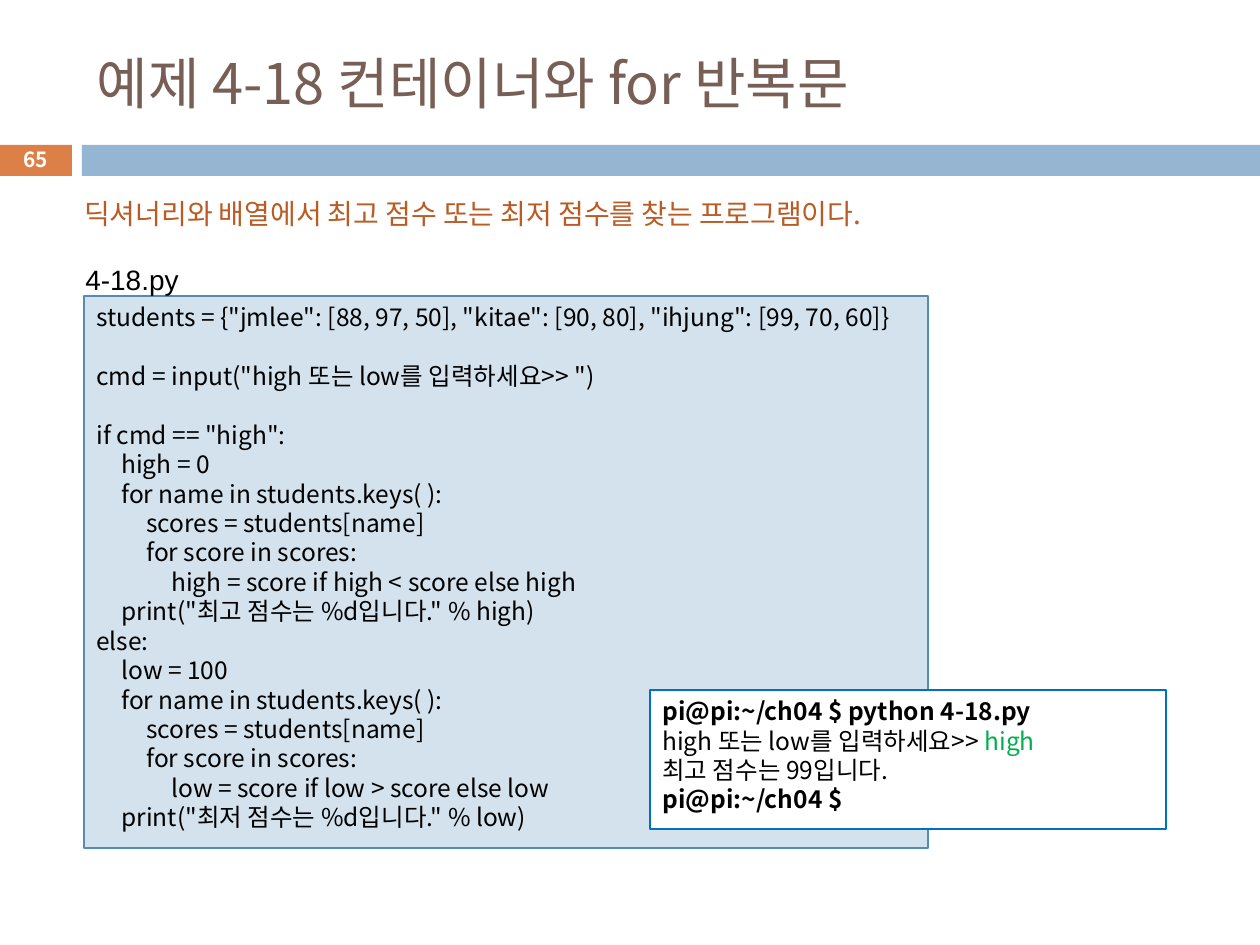
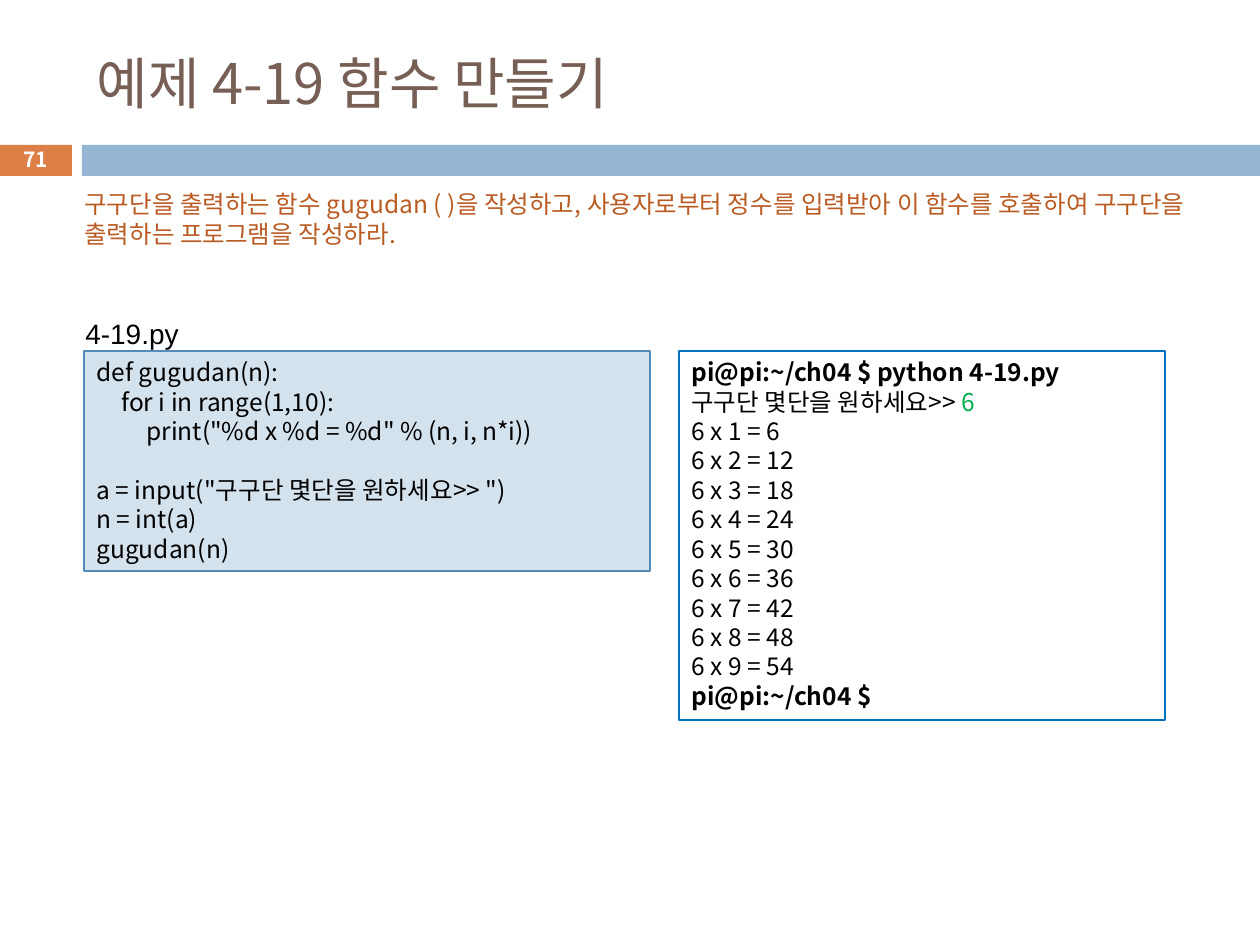
from dataclasses import dataclass
from pptx import Presentation
from pptx.dml.color import RGBColor
from pptx.enum.shapes import MSO_SHAPE
from pptx.enum.text import MSO_ANCHOR, MSO_AUTO_SIZE, PP_ALIGN
from pptx.oxml.ns import qn
from pptx.util import Emu, Pt
from lxml.etree import SubElement


@dataclass(frozen=True)
class Theme:
    face: str = "Noto Sans CJK KR"
    label: str = "Arial"
    title: str = "775F55"
    badge: str = "DD8047"
    band: str = "94B6D2"
    intro: str = "B95B22"
    code: str = "D4E2ED"
    edge: str = "558BB8"
    frame: str = "0070C0"
    reply: str = "00B050"
    ink: str = "000000"
    paper: str = "FFFFFF"
    big: float = 32
    mid: float = 16
    text: float = 14
    small: float = 11.9
    pitch: float = 16.8
    tab: int = 25


THEME = Theme()
SCALE = 914400 / 126

SCORES = '''students = {"jmlee": [88, 97, 50], "kitae": [90, 80], "ihjung": [99, 70, 60]}

cmd = input("high 또는 low를 입력하세요>> ")

if cmd == "high":
    high = 0
    for name in students.keys( ):
        scores = students[name]
        for score in scores:
            high = score if high < score else high
    print("최고 점수는 %d입니다." % high)
else:
    low = 100
    for name in students.keys( ):
        scores = students[name]
        for score in scores:
            low = score if low > score else low
    print("최저 점수는 %d입니다." % low)'''

TIMES = '''def gugudan(n):
    for i in range(1,10):
        print("%d x %d = %d" % (n, i, n*i))

a = input("구구단 몇단을 원하세요>> ")
n = int(a)
gugudan(n)'''


def px(n):
    return Emu(round(n * SCALE))


def rgb(code):
    return RGBColor.from_string(code)


def style(run, size, color, face=THEME.face, bold=False):
    run.font.size = Pt(size)
    run.font.bold = bold
    run.font.color.rgb = rgb(color)
    run.font.name = face
    SubElement(run.font._element, qn("a:ea"), typeface=face)


def style_all(frame, size, color, face=THEME.face, bold=False):
    for par in frame.paragraphs:
        for run in par.runs:
            style(run, size, color, face, bold)


def add_rect(slide, area, fill, line=None):
    box = slide.shapes.add_shape(MSO_SHAPE.RECTANGLE, *map(px, area))
    box.shadow.inherit = False
    box.fill.solid()
    box.fill.fore_color.rgb = rgb(fill)
    if line:
        box.line.color.rgb = rgb(line)
        box.line.width = Pt(0.75)
    else:
        box.line.fill.background()
    return box


def add_text(slide, area, text, size, color, face=THEME.face, bold=False):
    frame = slide.shapes.add_textbox(*map(px, area)).text_frame
    frame.word_wrap = True
    frame.text = text
    style_all(frame, size, color, face, bold)
    return frame


def add_panel(slide, area, text, fill, line):
    frame = add_rect(slide, area, fill, line).text_frame
    frame.word_wrap = True
    frame.vertical_anchor = MSO_ANCHOR.TOP
    frame.text = text
    for par in frame.paragraphs:
        par.alignment = PP_ALIGN.LEFT
        par.line_spacing = Pt(THEME.pitch)
    style_all(frame, THEME.text, THEME.ink)
    return frame


def add_code(slide, area, code):
    frame = add_panel(slide, area, code.replace(" " * 4, "\t"), THEME.code, THEME.edge)
    for par in frame.paragraphs:
        tabs = SubElement(par._p.get_or_add_pPr(), qn("a:tabLst"))
        for step in range(1, 4):
            SubElement(tabs, qn("a:tab"), pos=str(px(step * THEME.tab)), algn="l")


def add_shell(slide, area, lines, reply):
    frame = add_panel(slide, area, "\n".join(lines), THEME.paper, THEME.frame)
    for par in frame.paragraphs:
        if par.text.startswith("pi@"):
            par.runs[0].font.bold = True
        elif par.text.endswith(">> "):
            run = par.add_run()
            run.text = reply
            style(run, THEME.text, THEME.reply)


def add_label(slide, top, text):
    frame = add_text(slide, (73, top, 121, 59), text, THEME.mid, THEME.ink, THEME.label)
    frame.word_wrap = False
    frame.paragraphs[0].alignment = PP_ALIGN.JUSTIFY
    frame.paragraphs[0].line_spacing = 1.6


def add_page(deck, title, number):
    slide = deck.slides.add_slide(deck.slide_layouts[5])
    add_rect(slide, (-1, 145, 73, 31), THEME.badge)
    add_rect(slide, (82, 145, 1178, 31), THEME.band)
    head = slide.shapes.title
    head.left, head.top, head.width, head.height = map(px, (84, 31, 1124, 103))
    frame = head.text_frame
    frame.text = title
    frame.auto_size = MSO_AUTO_SIZE.NONE
    frame.vertical_anchor = MSO_ANCHOR.MIDDLE
    frame.paragraphs[0].alignment = PP_ALIGN.LEFT
    style_all(frame, THEME.big, THEME.title)
    badge = add_text(slide, (-1, 142, 73, 34), number, THEME.small, THEME.paper, bold=True)
    badge.margin_top = badge.margin_bottom = 0
    badge.vertical_anchor = MSO_ANCHOR.MIDDLE
    badge.paragraphs[0].alignment = PP_ALIGN.CENTER
    return slide


def add_intro(slide, area, text, size):
    frame = add_text(slide, area, text, size, THEME.intro)
    frame.paragraphs[0].line_spacing = Pt(size * 1.2)


def main():
    deck = Presentation()
    deck.slide_width, deck.slide_height = px(1260), px(945)

    slide = add_page(deck, "예제 4-18 컨테이너와 for 반복문", "65")
    add_intro(slide, (72, 190, 1072, 47),
              "딕셔너리와 배열에서 최고 점수 또는 최저 점수를 찾는 프로그램이다.", THEME.mid)
    add_code(slide, (84, 296, 844, 552), SCORES)
    add_shell(slide, (650, 690, 516, 139), [
        "pi@pi:~/ch04 $ python 4-18.py",
        "high 또는 low를 입력하세요>> ",
        "최고 점수는 99입니다.",
        "pi@pi:~/ch04 $",
    ], "high")
    add_label(slide, 236, "4-18.py")

    slide = add_page(deck, "예제 4-19 함수 만들기", "71")
    add_intro(slide, (72, 183, 1153, 72),
              "구구단을 출력하는 함수 gugudan ( )을 작성하고, 사용자로부터 정수를 입력받아 "
              "이 함수를 호출하여 구구단을 출력하는 프로그램을 작성하라.", THEME.text)
    add_code(slide, (84, 351, 566, 220), TIMES)
    add_shell(slide, (679, 351, 486, 369), [
        "pi@pi:~/ch04 $ python 4-19.py",
        "구구단 몇단을 원하세요>> ",
        *(f"6 x {i} = {6 * i}" for i in range(1, 10)),
        "pi@pi:~/ch04 $",
    ], "6")
    add_label(slide, 290, "4-19.py")

    deck.save("out.pptx")


if __name__ == "__main__":
    main()
